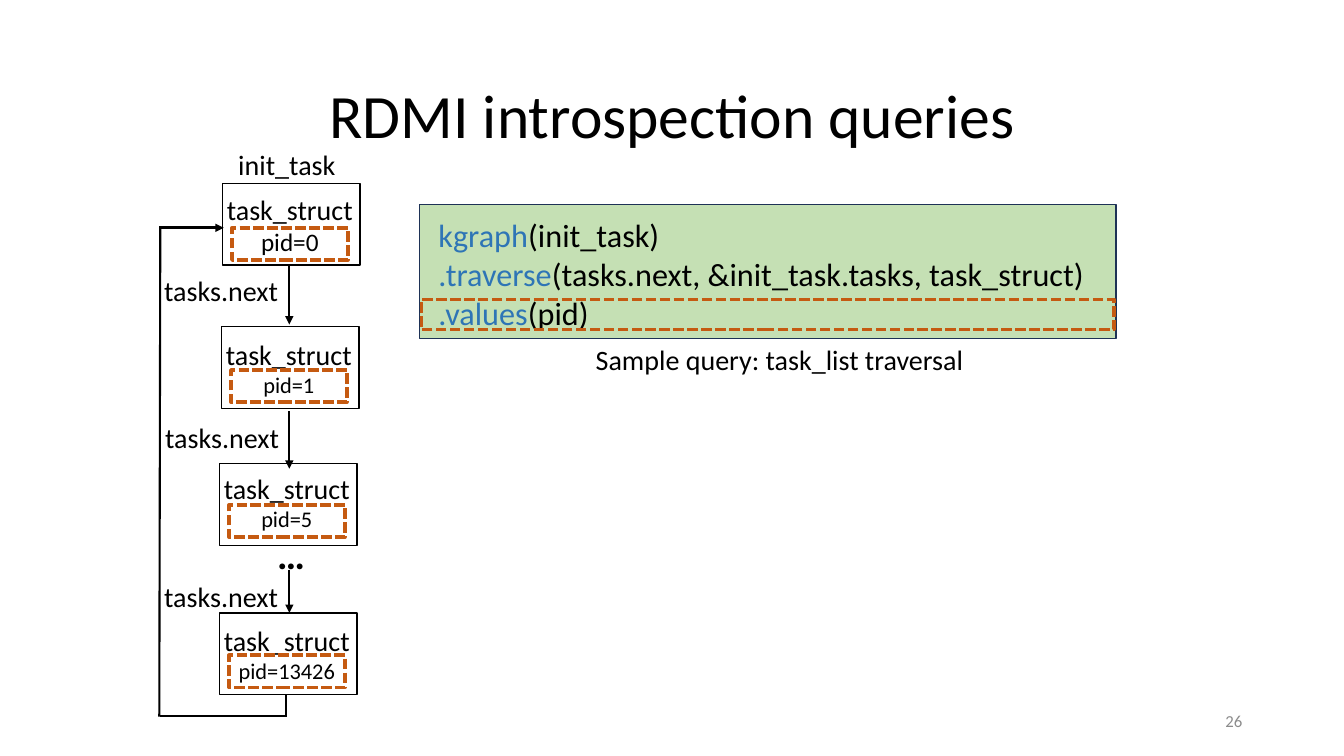
"""Build the slide on RDMI introspection queries."""
from pptx import Presentation
from pptx.dml.color import RGBColor
from pptx.enum import dml, shapes, text
from pptx.oxml.ns import qn
from pptx.util import Inches, Pt

BLACK, ORANGE, BLUE = "000000", "C55A11", "2E75B6"
GREEN, NAVY, GREY = "C5E0B4", "1E3256", "8C8C8C"
LEFT, CENTER, RIGHT = text.PP_ALIGN.LEFT, text.PP_ALIGN.CENTER, text.PP_ALIGN.RIGHT
TOP, MIDDLE = text.MSO_ANCHOR.TOP, text.MSO_ANCHOR.MIDDLE

NODE_W, NODE_H, PID_W, PID_H = 1.36, 0.81, 1.15, 0.32
NODES = [
    ("pid=0", 18, 2.21, 1.82, 1.86, 2.26),
    ("pid=1", 16, 2.2, 3.24, 3.3, 3.67),
    ("pid=5", 16, 2.18, 4.6, 4.63, 5.01),
    ("pid=13426", 16, 2.18, 6.08, 6.14, 6.5),
]
NEXT_LABELS = [(1.53, 2.66), (1.54, 4.12), (1.53, 5.7)]
NEXT_X = 2.87
NEXT_ARROWS = [(2.64, 3.22), (4.08, 4.65), (5.65, 6.08)]
LOOP_LINES = [
    ((2.84, 6.89), (2.84, 7.11)),
    ((1.59, 7.1), (2.84, 7.1)),
    ((1.59, 2.26), (1.58, 7.11)),
]
LOOP_ARROW = ((1.58, 2.26), (2.22, 2.26))
QUERY = [
    ("kgraph", "(init_task)"),
    (".traverse", "(tasks.next, &init_task.tasks, task_struct)"),
    (".values", "(pid)"),
]
LABELS = [
    ("RDMI introspection queries", (0.92, 0.4, 11.5, 1.45), 44, BLACK, CENTER, MIDDLE),
    ("26", (9.42, 6.95, 3, 0.4), 12, GREY, RIGHT, MIDDLE),
    ("init_task", (2.14, 1.41, 1.41, 0.44), 20, BLACK, CENTER, TOP),
    ("Sample query: task_list traversal", (5.81, 3.35, 5.33, 0.44), 20, BLACK, LEFT, TOP),
]

prs = Presentation()
prs.slide_width, prs.slide_height = Inches(13.33), Inches(7.5)
s = prs.slides.add_slide(prs.slide_layouts[6])


def rgb(value):
    return RGBColor.from_string(value)


def add_text(at, lines, align=LEFT, anchor=TOP, bold=False):
    """Add a text box; each line is a list of (text, size, colour) runs."""
    sp = s.shapes.add_textbox(*map(Inches, at))
    tf = sp.text_frame
    tf.word_wrap, tf.vertical_anchor = True, anchor
    for i, runs in enumerate(lines):
        p = tf.paragraphs[0] if i == 0 else tf.add_paragraph()
        p.alignment = align
        for words, size, color in runs:
            r = p.add_run()
            r.text = words
            r.font.color.rgb = rgb(color)
            for key, value in {"name": "Calibri", "size": Pt(size), "bold": bold}.items():
                setattr(r.font, key, value)


def add_box(at, line=BLACK, width=1, fill=None, dashed=False):
    """Add a rectangle, filled or open."""
    sp = s.shapes.add_shape(shapes.MSO_SHAPE.RECTANGLE, *map(Inches, at))
    sp.shadow.inherit = False
    if fill:
        sp.fill.solid()
        sp.fill.fore_color.rgb = rgb(fill)
    else:
        sp.fill.background()
    sp.line.color.rgb, sp.line.width = rgb(line), Pt(width)
    if dashed:
        sp.line.dash_style = dml.MSO_LINE.SQUARE_DOT


def add_highlight(at):
    """Add a dashed orange frame."""
    add_box(at, ORANGE, 2.5, dashed=True)


def add_line(start, end, width=1.5, arrow=False):
    """Add a straight connector, with an arrowhead at its end if asked."""
    points = map(Inches, (*start, *end))
    sp = s.shapes.add_connector(shapes.MSO_CONNECTOR.STRAIGHT, *points)
    sp.line.color.rgb, sp.line.width = rgb(BLACK), Pt(width)
    props = sp.element.spPr
    if arrow:
        tail = props.find(qn("a:ln")).makeelement(qn("a:tailEnd"), {"type": "triangle"})
        props.find(qn("a:ln")).append(tail)
    props.append(props.makeelement(qn("a:effectLst"), {}))


for words, at, size, color, align, anchor in LABELS:
    add_text(at, [[(words, size, color)]], align, anchor)

for start, end in LOOP_LINES:
    add_line(start, end)
add_line(*LOOP_ARROW, width=2, arrow=True)

for pid, size, x, y, text_y, pid_y in NODES:
    add_box((x, y, NODE_W, NODE_H))
    add_text((x - 0.1, text_y, 1.53, 0.72),
             [[("task_struct", 20, BLACK)], [(pid, size, BLACK)]], CENTER)
    add_highlight((x + 0.09, pid_y, PID_W, PID_H))

add_text((2.65, 5.21, 0.41, 0.57), [[("…", 28, BLACK)]], bold=True)
for x, y in NEXT_LABELS:
    add_text((x, y, 1.4, 0.44), [[("tasks.next", 20, BLACK)]])
for y1, y2 in NEXT_ARROWS:
    add_line((NEXT_X, y1), (NEXT_X, y2), arrow=True)

add_box((4.16, 2.03, 6.91, 1.33), NAVY, fill=GREEN)
add_text((4.25, 2.09, 6.81, 1.26),
         [[(call, 23, BLUE), (args, 23, BLACK)] for call, args in QUERY])
add_highlight((4.18, 2.97, 6.87, 0.3))

prs.save("out.pptx")
